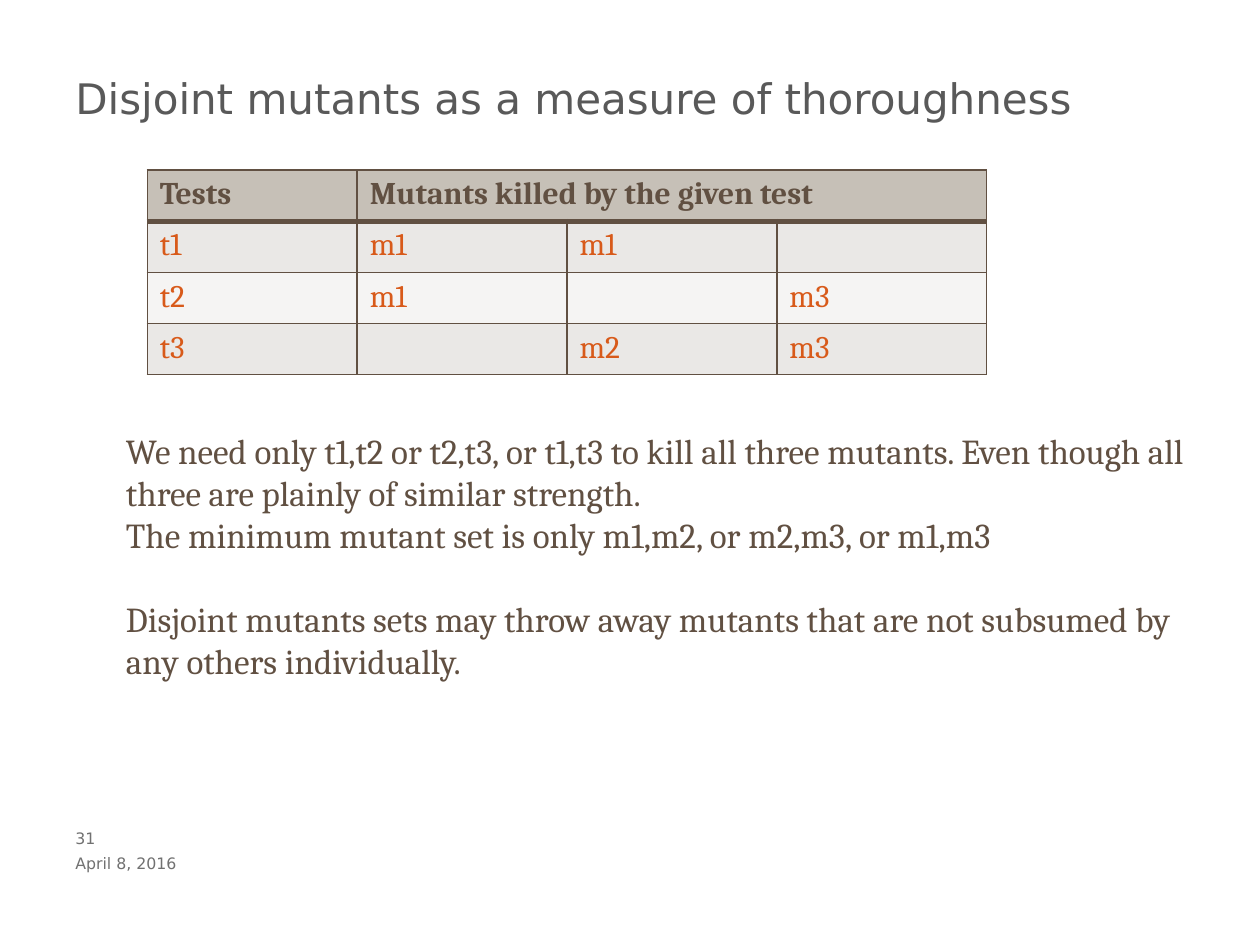
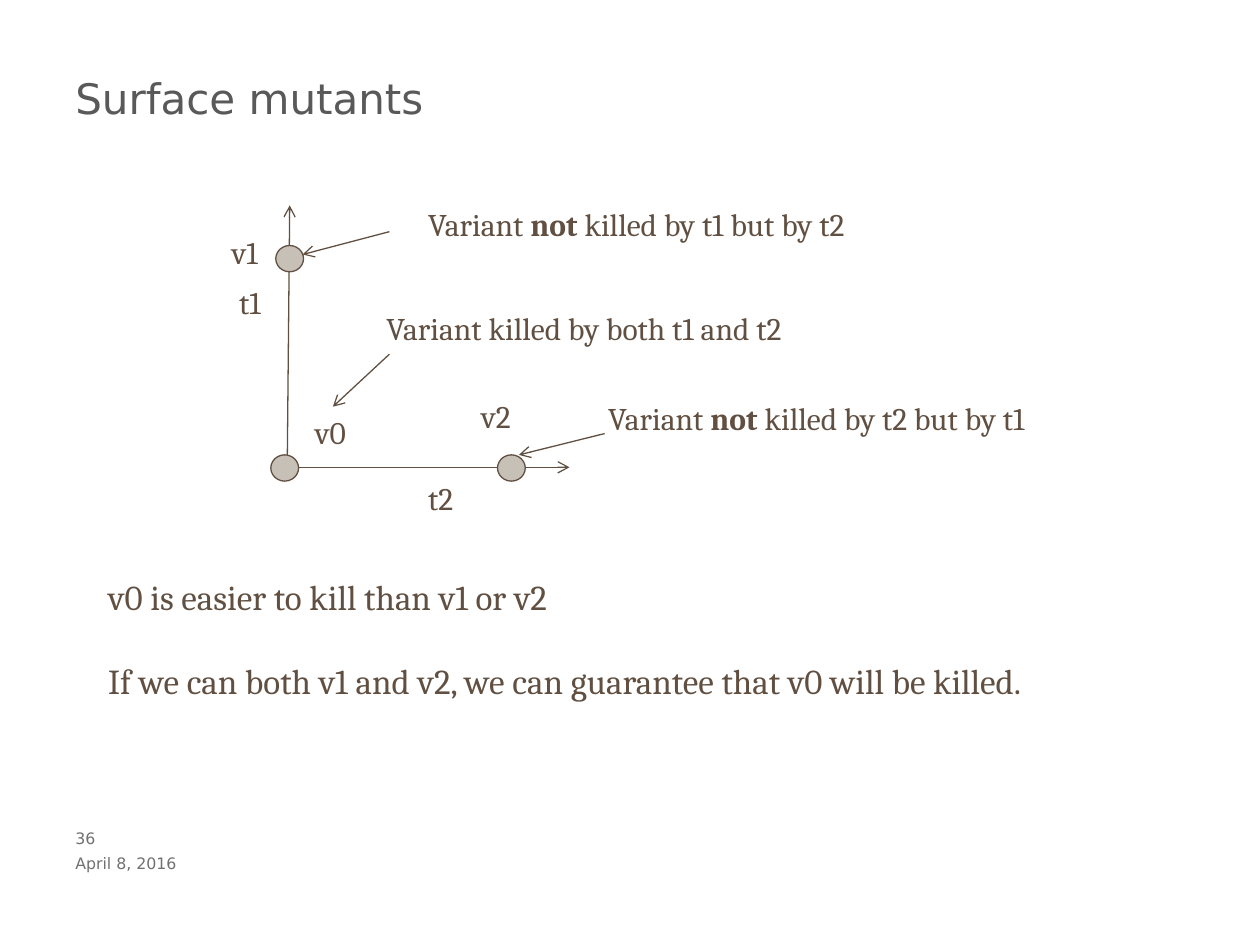
from dataclasses import dataclass

from lxml.etree import SubElement
from pptx import Presentation
from pptx.dml.color import RGBColor
from pptx.enum.shapes import MSO_CONNECTOR, MSO_SHAPE
from pptx.enum.text import MSO_ANCHOR, MSO_AUTO_SIZE
from pptx.oxml import parse_xml
from pptx.oxml.ns import nsdecls, qn
from pptx.util import Cm, Pt

HUES = {
    "title": "595959",
    "foot": "717171",
    "text": "615042",
    "mark": "D85A1A",
    "head": "C6C0B7",
    "odd": "EAE8E6",
    "even": "F5F4F3",
}
FONTS = {
    "title": {"name": "DejaVu Sans", "size": Pt(24)},
    "foot": {"name": "DejaVu Sans", "size": Pt(9)},
    "body": {"name": "Cambria", "size": Pt(20)},
    "label": {"name": "Cambria", "size": Pt(18)},
}
FIT = {"auto_size": MSO_AUTO_SIZE.SHAPE_TO_FIT_TEXT}
FRAMES = {
    "title": {"word_wrap": True, "margin_top": Cm(0.2)},
    "foot": {"word_wrap": True, "margin_top": 0, "margin_bottom": 0,
             "vertical_anchor": MSO_ANCHOR.MIDDLE},
    "body": {"word_wrap": True, **FIT},
    "label": {"word_wrap": False, **FIT},
}
DATE = "April 8, 2016"
DOT_W, DOT_H = 0.56, 0.53
LABEL_H = 1.02
COL_W, ROW_H = 4.23, 1.03


@dataclass
class Label:
    text: str
    left: float
    top: float
    width: float


@dataclass
class Arrow:
    x1: float
    y1: float
    x2: float
    y2: float


@dataclass
class Dot:
    left: float
    top: float


@dataclass
class Para:
    text: str
    gap: int = 0


AXES = [Arrow(5.79, 9.42, 5.84, 4.14), Arrow(5.84, 9.42, 11.48, 9.42)]
DOTS = [Dot(5.46, 9.17), Dot(5.56, 4.95), Dot(10.03, 9.17)]
HINTS = [
    Arrow(7.85, 7.14, 6.71, 8.2),
    Arrow(7.85, 4.67, 6.1, 5.13),
    Arrow(12.19, 8.74, 10.46, 9.17),
]
LABELS = [
    Label("t1", 4.57, 5.59, 1.07),
    Label("t2", 8.38, 9.53, 1.09),
    Label("v0", 6.1, 8.2, 1.19),
    Label("v1", 4.42, 4.57, 1.19),
    Label("v2", 9.45, 7.87, 1.19),
    Label("Variant killed by both t1 and t2", 7.54, 6.1, 9.32),
    Label("Variant *not* killed by t1 but by t2", 8.38, 4.01, 9.7),
    Label("Variant* not *killed by t2 but by t1", 12.01, 7.92, 9.7),
]
KILLS = [
    ["Tests", "Mutants killed by the given test", "", ""],
    ["t1", "m1", "m1", ""],
    ["t2", "m1", "", "m3"],
    ["t3", "", "m2", "m3"],
]


def shade(name: str) -> RGBColor:
    return RGBColor.from_string(HUES[name])


def apply(target, values: dict) -> None:
    for key, value in values.items():
        setattr(target, key, value)


def write(para, text: str, style: str, hue: str, bold: bool = False) -> None:
    for i, part in enumerate(text.split("*")):
        run = para.add_run()
        run.text = part
        apply(run.font, {**FONTS[style], "bold": bold or i % 2 == 1})
        run.font.color.rgb = shade(hue)


def add_text(slide, box: tuple, paras: list[Para], style: str, hue: str = "text") -> None:
    frame = slide.shapes.add_textbox(*map(Cm, box)).text_frame
    apply(frame, FRAMES[style])
    for i, item in enumerate(paras):
        para = frame.add_paragraph() if i else frame.paragraphs[0]
        if item.gap:
            para.space_before = Pt(item.gap)
        write(para, item.text, style, hue)


def add_arrow(slide, arrow: Arrow) -> None:
    ends = map(Cm, (arrow.x1, arrow.y1, arrow.x2, arrow.y2))
    link = slide.shapes.add_connector(MSO_CONNECTOR.STRAIGHT, *ends)
    link.line.color.rgb = shade("text")
    link.line.width = Pt(0.75)
    SubElement(link.line._get_or_add_ln(), qn("a:tailEnd"), type="arrow")
    SubElement(link._element.spPr, qn("a:effectLst"))


def add_dot(slide, dot: Dot) -> None:
    shape = slide.shapes.add_shape(
        MSO_SHAPE.OVAL, *map(Cm, (dot.left, dot.top, DOT_W, DOT_H)))
    shape.shadow.inherit = False
    shape.fill.solid()
    shape.fill.fore_color.rgb = shade("head")
    shape.line.color.rgb = shade("text")
    shape.line.width = Pt(0.75)


def add_edges(cell, sides: dict[str, int]) -> None:
    props = cell._tc.get_or_add_tcPr()
    for i, (side, width) in enumerate(sides.items()):
        props.insert(i, parse_xml(
            f'<a:ln{side} {nsdecls("a")} w="{Pt(width)}"><a:solidFill>'
            f'<a:srgbClr val="{HUES["text"]}"/></a:solidFill></a:ln{side}>'))


def add_grid(slide) -> None:
    rows, cols = len(KILLS), len(KILLS[0])
    box = map(Cm, (2.97, 3.43, COL_W * cols, ROW_H * rows))
    grid = slide.shapes.add_table(rows, cols, *box).table
    for col in grid.columns:
        col.width = Cm(COL_W)
    for r, line in enumerate(KILLS):
        grid.rows[r].height = Cm(ROW_H)
        head = r == 0
        for c, text in enumerate(line):
            cell = grid.cell(r, c)
            cell.fill.solid()
            cell.fill.fore_color.rgb = shade("head" if head else "odd" if r % 2 else "even")
            add_edges(cell, {"L": 1, "R": 1, "T": 3 if r == 1 else 1, "B": 3 if head else 1})
            if text:
                write(cell.text_frame.paragraphs[0], text, "label",
                      "text" if head else "mark", head)
    grid.cell(0, 1).merge(grid.cell(0, cols - 1))


def add_slide(deck, title: str, page: int):
    slide = deck.slides.add_slide(deck.slide_layouts[6])
    add_text(slide, (1.27, 1.27, 22.86, 1.9), [Para(title)], "title", "title")
    add_text(slide, (1.27, 17.15, 5.08, 0.51), [Para(DATE)], "foot", "foot")
    add_text(slide, (1.27, 16.64, 1.02, 0.51), [Para(str(page))], "foot", "foot")
    return slide


def add_sets(deck) -> None:
    slide = add_slide(deck, "Disjoint mutants as a measure of thoroughness", 31)
    add_text(slide, (2.29, 8.53, 21.85, 5.38), [
        Para("We need only t1,t2 or t2,t3, or t1,t3 to kill all three mutants. "
             "Even though all three are plainly of similar strength."),
        Para("The minimum mutant set is only m1,m2, or m2,m3, or m1,m3"),
        Para("Disjoint mutants sets may throw away mutants that are not "
             "subsumed by any others individually.", 24),
    ], "body")
    add_grid(slide)


def add_plot(deck) -> None:
    slide = add_slide(deck, "Surface mutants", 36)
    add_text(slide, (1.93, 11.48, 21.21, 2.82), [
        Para("v0 is easier to kill than v1 or v2"),
        Para("If we can both v1 and v2, we can guarantee that v0 will be killed.", 24),
    ], "body")
    for axis in AXES:
        add_arrow(slide, axis)
    for dot in DOTS:
        add_dot(slide, dot)
    for hint in HINTS:
        add_arrow(slide, hint)
    for label in LABELS:
        box = (label.left, label.top, label.width, LABEL_H)
        add_text(slide, box, [Para(label.text)], "label")


def main() -> None:
    deck = Presentation()
    apply(deck, {"slide_width": Cm(25.4), "slide_height": Cm(19.05)})
    add_sets(deck)
    add_plot(deck)
    deck.save("out.pptx")


if __name__ == "__main__":
    main()
